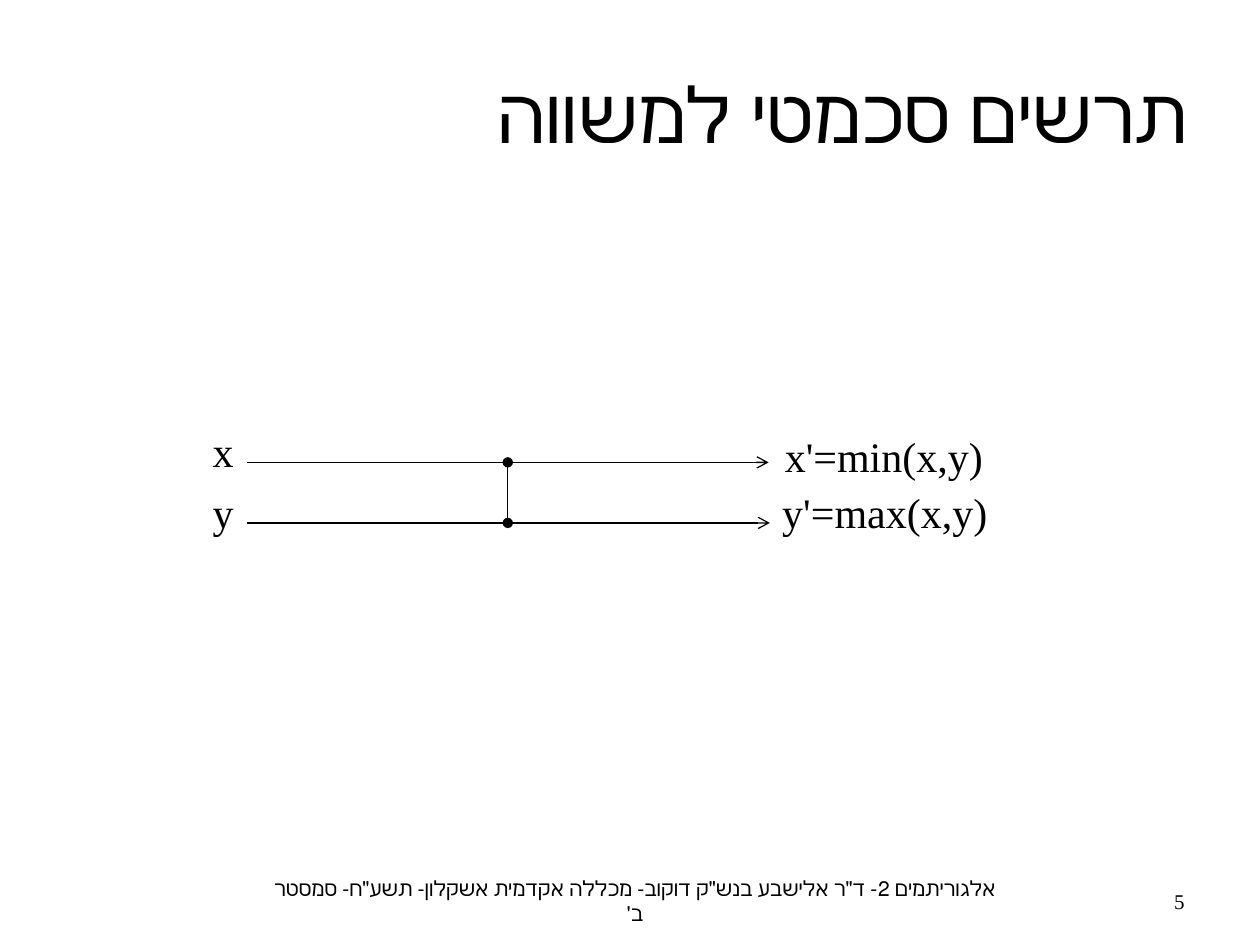
import dataclasses

import pptx
import pptx.dml.color
import pptx.enum.shapes
import pptx.enum.text
import pptx.oxml.ns
import pptx.oxml.xmlchemy
import pptx.util
from lxml import etree

Inches = pptx.util.Inches
ALIGN = pptx.enum.text.PP_ALIGN
ANCHOR = pptx.enum.text.MSO_ANCHOR
qn = pptx.oxml.ns.qn


@dataclasses.dataclass(frozen=True)
class Theme:
    """Colours, font and sizes of the slide."""
    ink: str = "000000"
    paper: str = "FFFFFF"
    font: str = "Times New Roman"
    title: int = 44
    label: int = 24
    footer: int = 12
    line: float = 0.75


def write_text(box, text, *, theme, size, align=ALIGN.LEFT, anchor=ANCHOR.TOP, rtl=False):
    """Write one formatted paragraph into a text box."""
    frame = box.text_frame
    frame.word_wrap = True
    frame.vertical_anchor = anchor
    para = frame.paragraphs[0]
    para.alignment = align
    if rtl:
        para._p.get_or_add_pPr().set("rtl", "1")
    span = para.add_run()
    span.text = text
    span.font.name = theme.font
    span.font.size = pptx.util.Pt(size)
    span.font.color.rgb = pptx.dml.color.RGBColor.from_string(theme.ink)


class Page:
    """A slide together with its style."""

    def __init__(self, deck, theme):
        """Add a blank slide with a plain background."""
        self.theme = theme
        self.slide = deck.slides.add_slide(deck.slide_layouts[6])
        fill = self.slide.background.fill
        fill.solid()
        fill.fore_color.rgb = pptx.dml.color.RGBColor.from_string(theme.paper)

    def text(self, text, left, top, width, height, **style):
        """Add a text box."""
        box = self.slide.shapes.add_textbox(*map(Inches, (left, top, width, height)))
        write_text(box, text, theme=self.theme, **style)

    def line(self, x1, y1, x2, y2, head=None, tail=None):
        """Add a straight line with optional end marks."""
        line = self.slide.shapes.add_connector(
            pptx.enum.shapes.MSO_CONNECTOR.STRAIGHT, *map(Inches, (x1, y1, x2, y2)))
        line.line.width = pptx.util.Pt(self.theme.line)
        line.line.color.rgb = pptx.dml.color.RGBColor.from_string(self.theme.ink)
        outline = line.line._get_or_add_ln()
        for tag, mark in (("a:headEnd", head), ("a:tailEnd", tail)):
            if mark:
                etree.SubElement(outline, qn(tag)).set("type", mark)
        etree.SubElement(line._element.spPr, qn("a:effectLst"))


def build():
    """Build the comparator slide and save it."""
    deck = pptx.Presentation()
    deck.slide_width, deck.slide_height = Inches(10), Inches(7.5)
    theme = Theme()
    page = Page(deck, theme)

    page.text("תרשים סכמטי למשווה", 0.39, 0.31, 9.14, 1.17, size=theme.title,
              align=ALIGN.RIGHT, anchor=ANCHOR.MIDDLE, rtl=True)

    wire_left, wire_middle = 1.96, 4.03
    wires = (
        ("x", 3.33, "x'=min(x,y)", 6.13, 3.37, 3.67, 6.1),
        ("y", 3.81, "y'=max(x,y)", 6.11, 3.81, 4.15, 6.11),
    )
    for source, source_top, result, result_left, result_top, wire_y, wire_right in wires:
        page.line(wire_left, wire_y, wire_right, wire_y, tail="arrow")
        page.text(source, 1.59, source_top, 0.73, 0.5, size=theme.label)
        page.text(result, result_left, result_top, 3.02, 0.5, size=theme.label)
    page.line(wire_middle, wires[0][5], wire_middle, wires[1][5], head="oval", tail="oval")

    footer = dict(size=theme.footer, anchor=ANCHOR.MIDDLE)
    page.text("אלגוריתמים 2- ד\"ר אלישבע בנש\"ק דוקוב- מכללה אקדמית אשקלון- תשע\"ח- סמסטר ב'",
              2.03, 6.95, 6.02, 0.4, align=ALIGN.CENTER, rtl=True, **footer)
    page.text("5", 7.17, 6.95, 2.33, 0.4, align=ALIGN.RIGHT, **footer)

    deck.save("out.pptx")


build()
